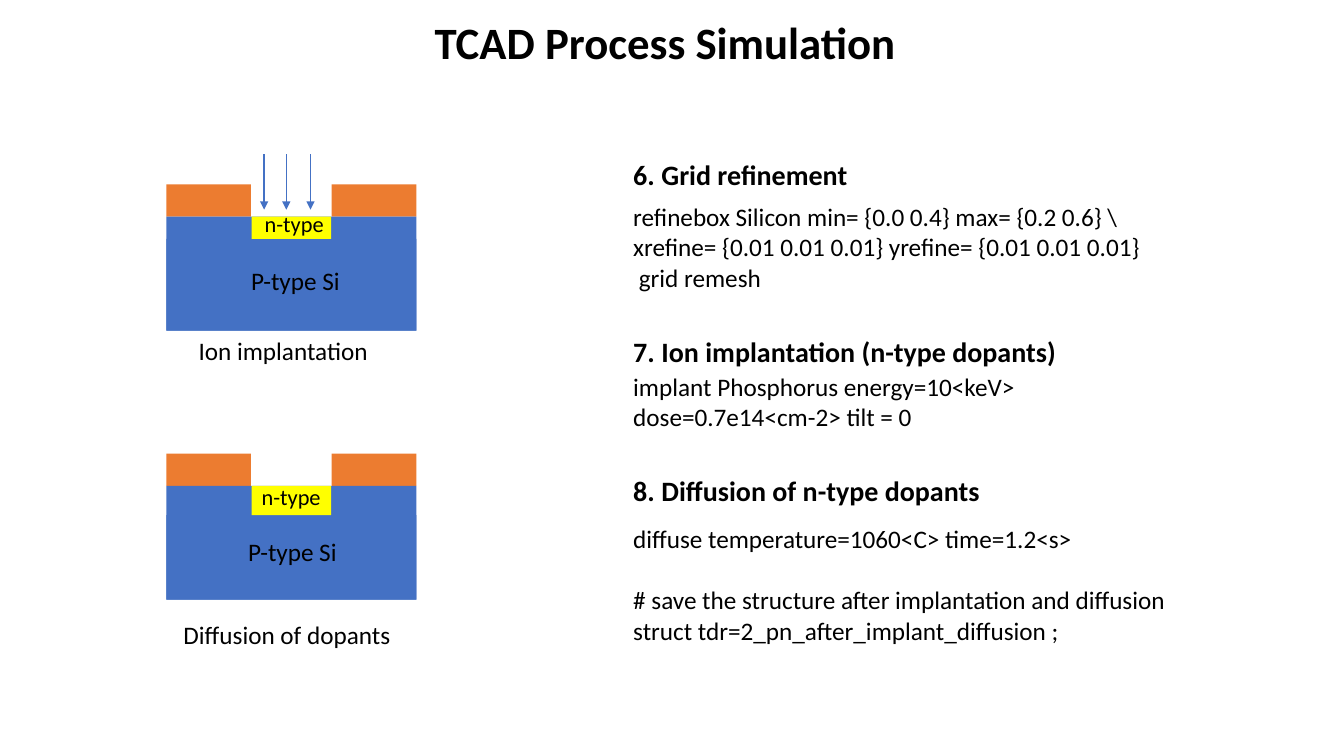
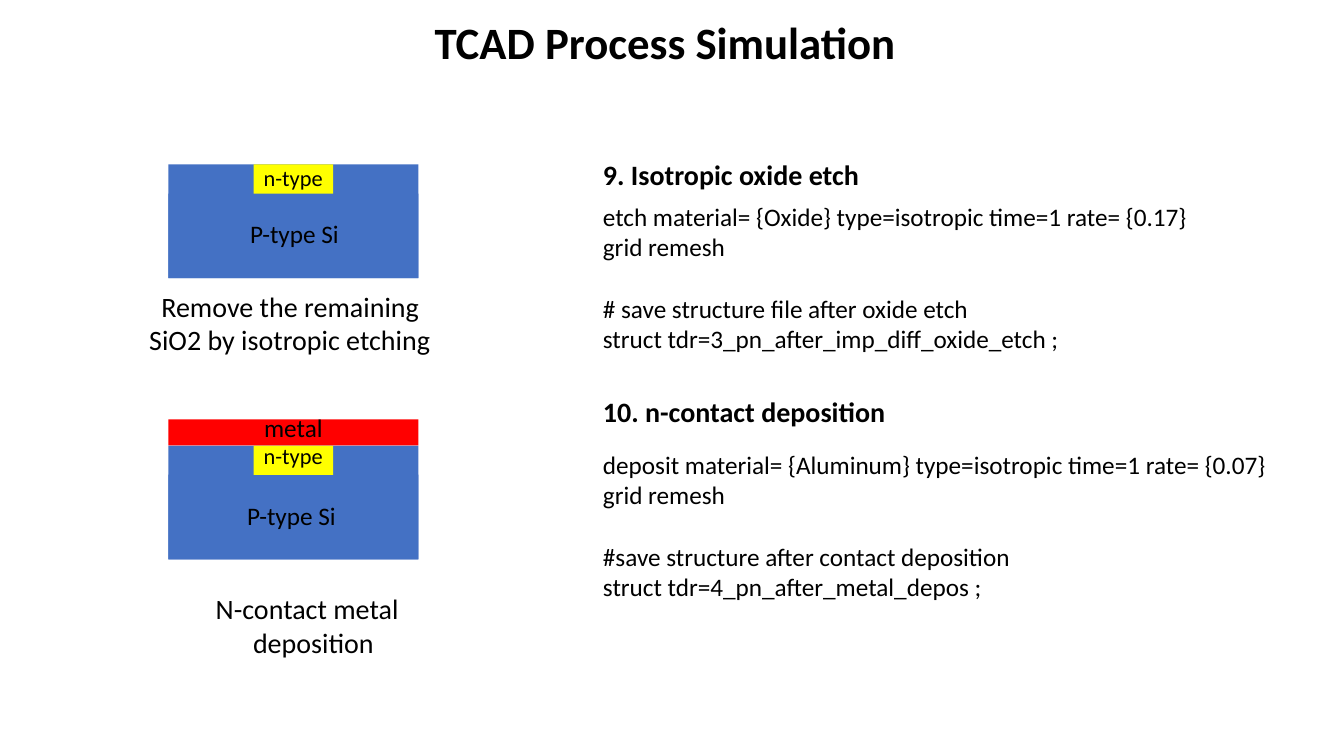
import pptx
import pptx.util
import pptx.dml.color
import pptx.enum.shapes
import pptx.enum.text
import lxml.etree

Inches, Pt = pptx.util.Inches, pptx.util.Pt
RGBColor = pptx.dml.color.RGBColor
Align = pptx.enum.text.PP_ALIGN

BLACK = RGBColor(0x00, 0x00, 0x00)
OXIDE = RGBColor(0xEC, 0x7C, 0x30)
SILICON = RGBColor(0x44, 0x71, 0xC4)
DOPED = RGBColor(0xFF, 0xFF, 0x00)
METAL = RGBColor(0xFF, 0x00, 0x00)
FONT = "Calibri"
DRAWING = "{http://schemas.openxmlformats.org/drawingml/2006/main}"

# Shared measures of the wafer cross-sections, in inches
WAFER_WIDTH, WAFER_HEIGHT = 2.48, 1.13
WELL_WIDTH = 0.79
OXIDE_WIDTH, OXIDE_HEIGHT = 0.84, 0.32
METAL_HEIGHT = 0.26


def add_box(page, left, top, width, height, color=None, inset=0):
    """Add a filled rectangle, or a text box when no color is given."""
    place = [Inches(value) for value in (left, top, width, height)]
    if color is None:
        box = page.shapes.add_textbox(*place)
    else:
        box = page.shapes.add_shape(pptx.enum.shapes.MSO_SHAPE.RECTANGLE, *place)
        box.shadow.inherit = False
        box.fill.solid()
        box.fill.fore_color.rgb = color
        box.line.fill.background()
    frame = box.text_frame
    frame.word_wrap = True
    frame.vertical_anchor = pptx.enum.text.MSO_ANCHOR.TOP
    frame.margin_left = frame.margin_right = frame.margin_bottom = 0
    frame.margin_top = Inches(inset)
    return frame


def write(frame, text, size=18, bold=False, before=0, left=0.01, first=0,
          line=None, align=Align.LEFT, number=None):
    """Write one paragraph; a vertical tab in the text breaks the line."""
    para = frame.add_paragraph() if frame.text else frame.paragraphs[0]
    para.text = text
    para.alignment = align
    para.space_before = Pt(before)
    if line:
        para.line_spacing = Pt(line)
    for span in para.runs:
        span.font.name = FONT
        span.font.size = Pt(size)
        span.font.bold = bold
        span.font.color.rgb = BLACK
    layout = para._p.get_or_add_pPr()
    if number:
        left, first = 0.29, -0.28
        lxml.etree.SubElement(layout, DRAWING + "buAutoNum",
                              type="arabicPeriod", startAt=str(number))
    layout.set("marL", str(Inches(left)))
    layout.set("indent", str(Inches(first)))


HEADING = dict(size=20, bold=True)

# Each code box: left, top, width, height, top inset, paragraphs
# Each wafer: left, top, well depth, well text format, label indent, label inset, cover
# Each caption: left, top, width, height, text, format
PAGES = [
    dict(
        code=[(6.27, 1.43, 6.65, 4.64, 0.13, [
            ("Grid refinement", dict(HEADING, number=6)),
            ("refinebox Silicon min= {0.0 0.4} max= {0.2 0.6} \\", dict(before=7.6)),
            ("xrefine= {0.01 0.01 0.01} yrefine= {0.01 0.01 0.01}\v grid remesh", {}),
            ("Ion implantation (n-type dopants)", dict(HEADING, number=7, before=30)),
            ("implant Phosphorus energy=10<keV>\vdose=0.7e14<cm-2> tilt = 0",
             dict(before=2.4)),
            ("Diffusion of n-type dopants", dict(HEADING, number=8, before=30)),
            ("diffuse temperature=1060<C> time=1.2<s>", dict(before=11.3)),
            ("# save the structure after implantation and diffusion\v"
             "struct tdr=2_pn_after_implant_diffusion ;", dict(before=22.5)),
        ])],
        wafers=[
            (1.65, 2.15, 0.22, dict(left=0.13, line=14.7), 0.84, 0.26, "oxide"),
            (1.65, 4.82, 0.29, dict(left=0.1, line=17.2), 0.81, 0.21, "oxide"),
        ],
        arrows=[2.62, 2.84, 3.08],
        captions=[
            (1.96, 3.32, 1.75, 0.33, "Ion implantation", {}),
            (1.81, 6.13, 2.15, 0.33, "Diffusion of dopants", {}),
        ],
    ),
    dict(
        code=[
            (5.97, 1.43, 5.9, 2.09, 0.13, [
                ("9. Isotropic oxide etch", HEADING),
                ("etch material= {Oxide} type=isotropic time=1 rate= {0.17}\vgrid remesh",
                 dict(before=7.6)),
                ("# save structure file after oxide etch", dict(before=22.5)),
                ("struct tdr=3_pn_after_imp_diff_oxide_etch ;", {}),
            ]),
            (5.97, 4.45, 6.75, 1.53, 0.01, [
                ("deposit material= {Aluminum} type=isotropic time=1 rate= {0.07}\v"
                 "grid remesh", {}),
                ("#save structure after contact deposition", dict(before=22.5)),
                ("struct tdr=4_pn_after_metal_depos ;", {}),
            ]),
            (5.97, 3.9, 2.9, 0.36, 0.01, [("10. n-contact deposition", HEADING)]),
        ],
        wafers=[
            (1.67, 1.63, 0.29, dict(left=0.1, line=19), 0.81, 0.25, None),
            (1.67, 4.42, 0.29, dict(left=0.1, line=16.9), 0.78, 0.25, "metal"),
        ],
        arrows=[],
        captions=[
            (1.47, 2.86, 2.9, 0.7, "Remove the remaining\vSiO2 by isotropic etching",
             dict(size=20, first=0.12)),
            (2.13, 5.86, 1.9, 0.7, "N-contact metal\vdeposition",
             dict(size=20, left=0.38, first=-0.37)),
        ],
    ),
]

deck = pptx.Presentation()
deck.slide_width, deck.slide_height = Inches(13.33), Inches(7.5)

for content in PAGES:
    page = deck.slides.add_slide(deck.slide_layouts[6])

    # Title
    title = add_box(page, 4.22, 0.13, 5, 0.56, inset=0.02)
    write(title, "TCAD Process Simulation", size=32, bold=True, left=0.09)

    # Process commands
    for left, top, width, height, inset, paragraphs in content["code"]:
        commands = add_box(page, left, top, width, height, inset=inset)
        for text, style in paragraphs:
            write(commands, text, **style)

    # Wafer cross-sections
    for left, top, depth, well_style, indent, inset, cover in content["wafers"]:
        if cover == "oxide":
            for oxide_left in (left, left + WAFER_WIDTH - OXIDE_WIDTH):
                add_box(page, oxide_left, top - OXIDE_HEIGHT,
                        OXIDE_WIDTH, OXIDE_HEIGHT, OXIDE)
        add_box(page, left, top, WAFER_WIDTH, WAFER_HEIGHT, SILICON)
        bulk = add_box(page, left, top + depth, WAFER_WIDTH, WAFER_HEIGHT - depth,
                       SILICON, inset)
        write(bulk, "P-type Si", left=indent)
        well = add_box(page, left + (WAFER_WIDTH - WELL_WIDTH) / 2, top,
                       WELL_WIDTH, depth, DOPED)
        write(well, "n-type", size=16, **well_style)
        if cover == "metal":
            contact = add_box(page, left, top - METAL_HEIGHT,
                              WAFER_WIDTH, METAL_HEIGHT, METAL)
            write(contact, "metal", left=0, line=16.9, align=Align.CENTER)

    # Ion beam arrows
    for x in content["arrows"]:
        arrow = page.shapes.add_connector(
            pptx.enum.shapes.MSO_CONNECTOR.STRAIGHT,
            Inches(x), Inches(1.53), Inches(x), Inches(2.08))
        arrow.line.color.rgb = SILICON
        arrow.line.width = Pt(1)
        lxml.etree.SubElement(arrow.line._get_or_add_ln(), DRAWING + "tailEnd",
                              type="triangle", w="med", len="med")
        lxml.etree.SubElement(arrow._element.spPr, DRAWING + "effectLst")

    # Captions
    for left, top, width, height, text, style in content["captions"]:
        write(add_box(page, left, top, width, height, inset=0.01), text, **style)

deck.save("out.pptx")
